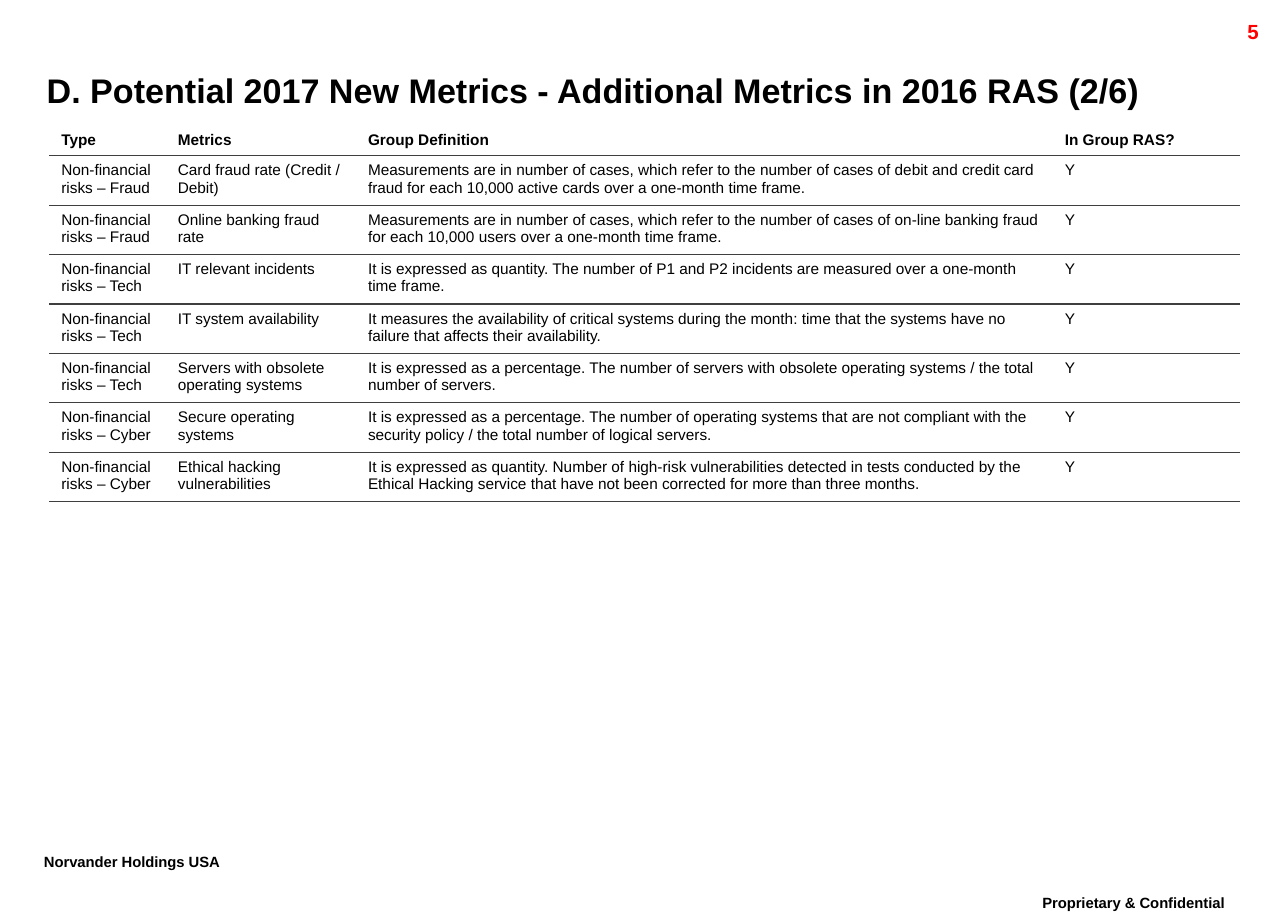
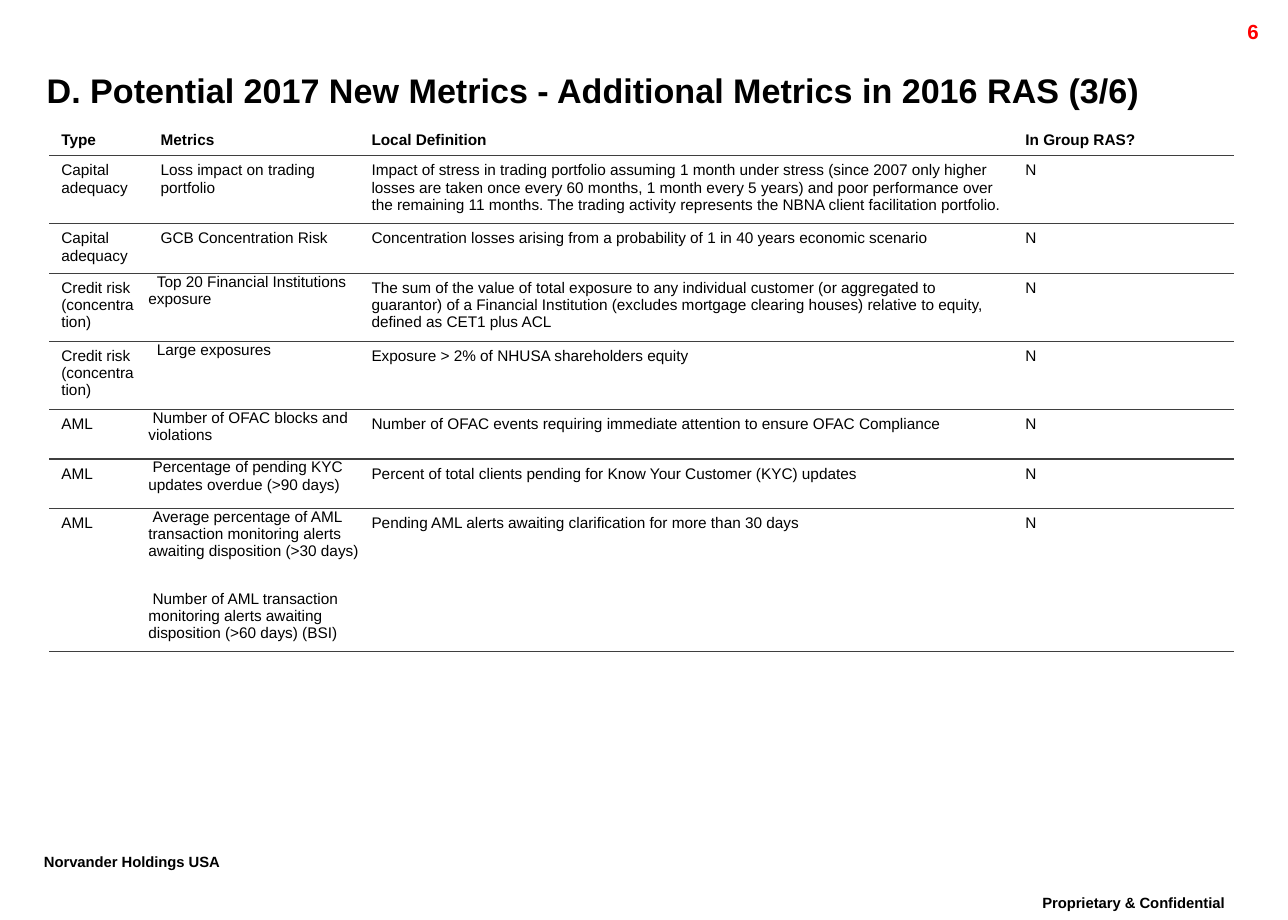
from lxml.etree import SubElement
from pptx import Presentation
from pptx.dml.color import RGBColor
from pptx.enum.text import MSO_ANCHOR, MSO_AUTO_SIZE, PP_ALIGN
from pptx.oxml import parse_xml
from pptx.oxml.ns import nsdecls, qn
from pptx.util import Pt

# Shared style
COLORS = {"text": "000000", "rule": "3F3F3F", "number": "FF0000"}
FONT = "Arial"
FIRST_PAGE = 5
TITLE = "D. Potential 2017 New Metrics - Additional Metrics in 2016 RAS ({}/6)"
TABLE_LEFT, TABLE_TOP = 28.8, 73.4
LINE_HEIGHT, ROW_PADDING = 11, 7
PLAIN_TABLE_STYLE = "{2D5ABB26-0587-4C30-8999-92F81FD0307C}"

# Footers: text, left, top, width, height, alignment
FOOTERS = [
    ("Proprietary & Confidential", 586.8, 522, 157, 23.8, PP_ALIGN.CENTER),
    ("Norvander Holdings USA", 18.7, 497.5, 137.5, 23, PP_ALIGN.LEFT),
]

# Content rows: type, metrics, definition, in group RAS, text lines, flush indent
# (a flush indent puts the metric at the cell edge with an indented first line)
FRAUD, TECH, CYBER = (f"Non-financial risks – {area}" for area in ("Fraud", "Tech", "Cyber"))
CAPITAL, CREDIT, AML = "Capital adequacy", "Credit risk (concentration)", "AML"
PAGES = [
    {
        "part": 2,
        "columns": [68.4, 111.6, 409, 110.2],
        "header": ["Type", "Metrics", "Group Definition", "In Group RAS?"],
        "rows": [
            (FRAUD, ["Card fraud rate (Credit / Debit)"],
             "Measurements are in number of cases, which refer to the number of cases of debit "
             "and credit card fraud for each 10,000 active cards over a one-month time frame.",
             "Y", 2, None),
            (FRAUD, ["Online banking fraud rate"],
             "Measurements are in number of cases, which refer to the number of cases of on-line "
             "banking fraud for each 10,000 users over a one-month time frame.",
             "Y", 2, None),
            (TECH, ["IT relevant incidents"],
             "It is expressed as quantity. The number of P1 and P2 incidents are measured over "
             "a one-month time frame.",
             "Y", 2, None),
            (TECH, ["IT system availability"],
             "It measures the availability of critical systems during the month: time that the "
             "systems have no failure that affects their availability.",
             "Y", 2, None),
            (TECH, ["Servers with obsolete operating systems"],
             "It is expressed as a percentage. The number of servers with obsolete operating "
             "systems / the total number of servers.",
             "Y", 2, None),
            (CYBER, ["Secure operating systems"],
             "It is expressed as a percentage. The number of operating systems that are not "
             "compliant with the security policy / the total number of logical servers.",
             "Y", 2, None),
            (CYBER, ["Ethical hacking vulnerabilities"],
             "It is expressed as quantity. Number of high-risk vulnerabilities detected in tests "
             "conducted by the Ethical Hacking service that have not been corrected for more "
             "than three months.",
             "Y", 2, None),
        ],
    },
    {
        "part": 3,
        "columns": [58.3, 123.8, 383.8, 129.6],
        "header": ["Type", "Metrics", "Local Definition", "In Group RAS?"],
        "rows": [
            (CAPITAL, ["Loss impact on trading portfolio"],
             "Impact of stress in trading portfolio assuming 1 month under stress (since 2007 "
             "only higher losses are taken once every 60 months, 1 month every 5 years) and poor "
             "performance over the remaining 11 months. The trading activity represents the NBNA "
             "client facilitation portfolio.",
             "N", 3, None),
            (CAPITAL, ["GCB Concentration Risk"],
             "Concentration losses arising from a probability of 1 in 40 years economic scenario",
             "N", 2, None),
            (CREDIT, ["Top 20 Financial Institutions exposure"],
             "The sum of the value of total exposure to any individual customer (or aggregated "
             "to guarantor) of a Financial Institution (excludes mortgage clearing houses) "
             "relative to equity, defined as CET1 plus ACL",
             "N", 3, 5),
            (CREDIT, ["Large exposures"],
             "Exposure > 2% of NHUSA shareholders equity", "N", 3, 5),
            (AML, ["Number of OFAC blocks and violations"],
             "Number of OFAC events requiring immediate attention to ensure OFAC Compliance",
             "N", 2, 2.5),
            (AML, ["Percentage of pending KYC updates overdue (>90 days)"],
             "Percent of total clients pending for Know Your Customer (KYC) updates",
             "N", 2, 2.5),
            (AML, ["Average percentage of AML transaction monitoring alerts awaiting "
                   "disposition (>30 days)",
                   "Number of AML transaction monitoring alerts awaiting disposition "
                   "(>60 days) (BSI)"],
             "Pending AML alerts awaiting clarification for more than 30 days",
             "N", 7, 2.5),
        ],
    },
]


def add_span(para, text, size, bold=False, color="text"):
    span = para.add_run()
    span.text = text
    span.font.name = FONT
    span.font.size = Pt(size)
    span.font.bold = bold
    span.font.color.rgb = RGBColor.from_string(COLORS[color])
    return span


def add_box(page, left, top, width, height, align):
    box = page.shapes.add_textbox(Pt(left), Pt(top), Pt(width), Pt(height))
    box.text_frame.word_wrap = True
    para = box.text_frame.paragraphs[0]
    para.alignment = align
    return para


def add_frame(page, part, number):
    """Title, footers and page number."""
    title = page.shapes.title
    title.left, title.top, title.width, title.height = Pt(27.4), Pt(35.3), Pt(682.6), Pt(34.6)
    frame = title.text_frame
    frame.margin_left = frame.margin_right = frame.margin_top = frame.margin_bottom = 0
    frame.vertical_anchor = MSO_ANCHOR.MIDDLE
    frame.auto_size = MSO_AUTO_SIZE.NONE
    frame.paragraphs[0].alignment = PP_ALIGN.LEFT
    add_span(frame.paragraphs[0], TITLE.format(part), 20, bold=True)

    for text, *place in FOOTERS:
        para = add_box(page, *place)
        para.line_spacing = 0.86
        span = add_span(para, text, 15, bold=True)
        span._r.get_or_add_rPr().set("baseline", "30000")

    para = add_box(page, 673.9, 7.9, 72, 17.3, PP_ALIGN.RIGHT)
    add_span(para, str(number), 12, bold=True, color="number")


def fill_cell(cell, texts, bold=False, indent=None):
    cell.fill.background()
    cell.vertical_anchor = MSO_ANCHOR.TOP
    if indent is not None:
        cell.margin_left = cell.margin_right = cell.margin_top = cell.margin_bottom = 0
    for index, text in enumerate(texts):
        para = cell.text_frame.add_paragraph() if index else cell.text_frame.paragraphs[0]
        para.alignment = PP_ALIGN.LEFT
        if index:
            para.space_before = Pt(18)
        if indent is not None:
            para._p.get_or_add_pPr().set("indent", str(Pt(indent)))
        add_span(para, text, 9, bold)
    # Rule below the cell
    rule = parse_xml(f'<a:lnB {nsdecls("a")} w="{Pt(0.75)}"/>')
    fill = SubElement(rule, qn("a:solidFill"))
    SubElement(fill, qn("a:srgbClr")).set("val", COLORS["rule"])
    cell._tc.get_or_add_tcPr().insert(0, rule)


def add_metrics_table(page, columns, header, rows):
    heights = [LINE_HEIGHT * lines + ROW_PADDING for lines in [1] + [row[4] for row in rows]]
    table = page.shapes.add_table(
        len(heights), len(columns), Pt(TABLE_LEFT), Pt(TABLE_TOP),
        Pt(sum(columns)), Pt(sum(heights))).table
    table.horz_banding = False
    table._tbl.tblPr.find(qn("a:tableStyleId")).text = PLAIN_TABLE_STYLE
    for column, width in zip(table.columns, columns):
        column.width = Pt(width)
    for row, height in zip(table.rows, heights):
        row.height = Pt(height)
    for column, label in enumerate(header):
        fill_cell(table.cell(0, column), [label], bold=True)
    for row, (kind, metrics, definition, in_group, _, indent) in enumerate(rows, 1):
        fill_cell(table.cell(row, 0), [kind])
        fill_cell(table.cell(row, 1), metrics, indent=indent)
        fill_cell(table.cell(row, 2), [definition])
        fill_cell(table.cell(row, 3), [in_group])


def main():
    deck = Presentation()
    deck.slide_width, deck.slide_height = Pt(756), Pt(540)
    for number, content in enumerate(PAGES, FIRST_PAGE):
        page = deck.slides.add_slide(deck.slide_layouts[5])
        add_frame(page, content["part"], number)
        add_metrics_table(page, content["columns"], content["header"], content["rows"])
    deck.save("out.pptx")


if __name__ == "__main__":
    main()
